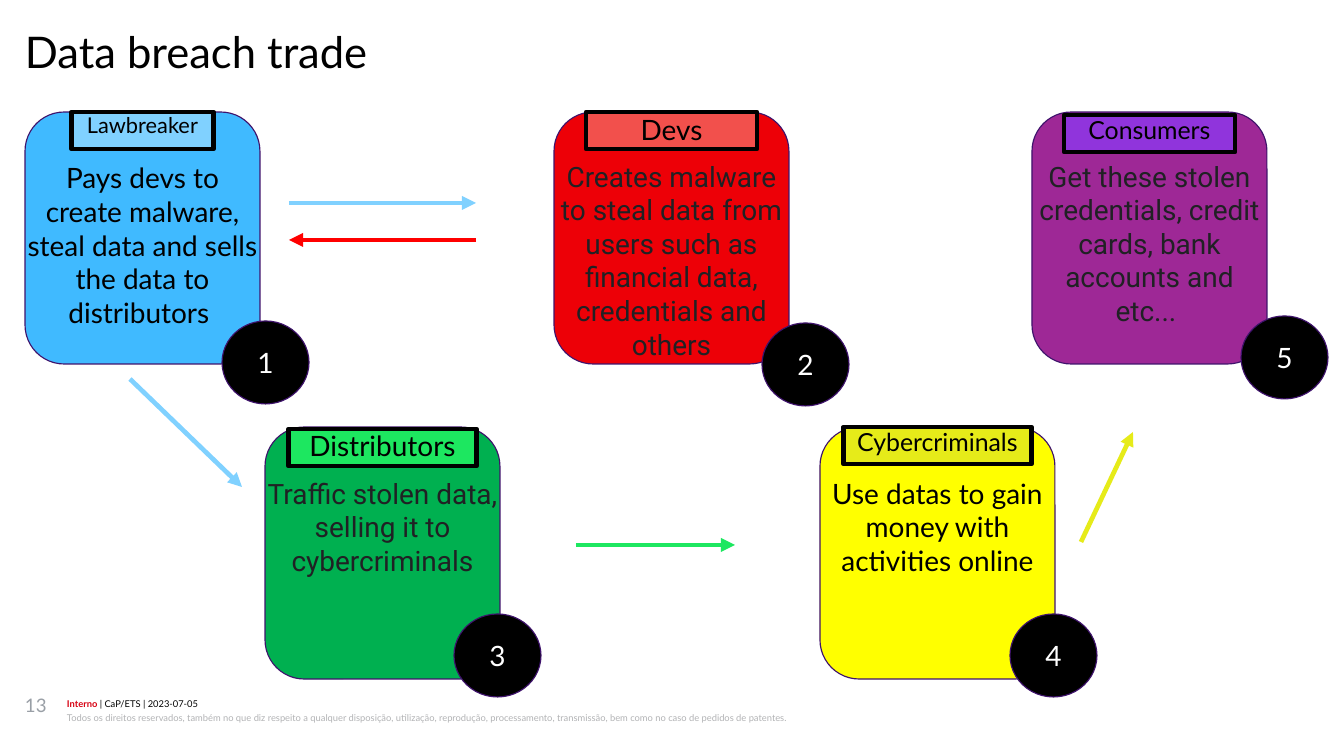
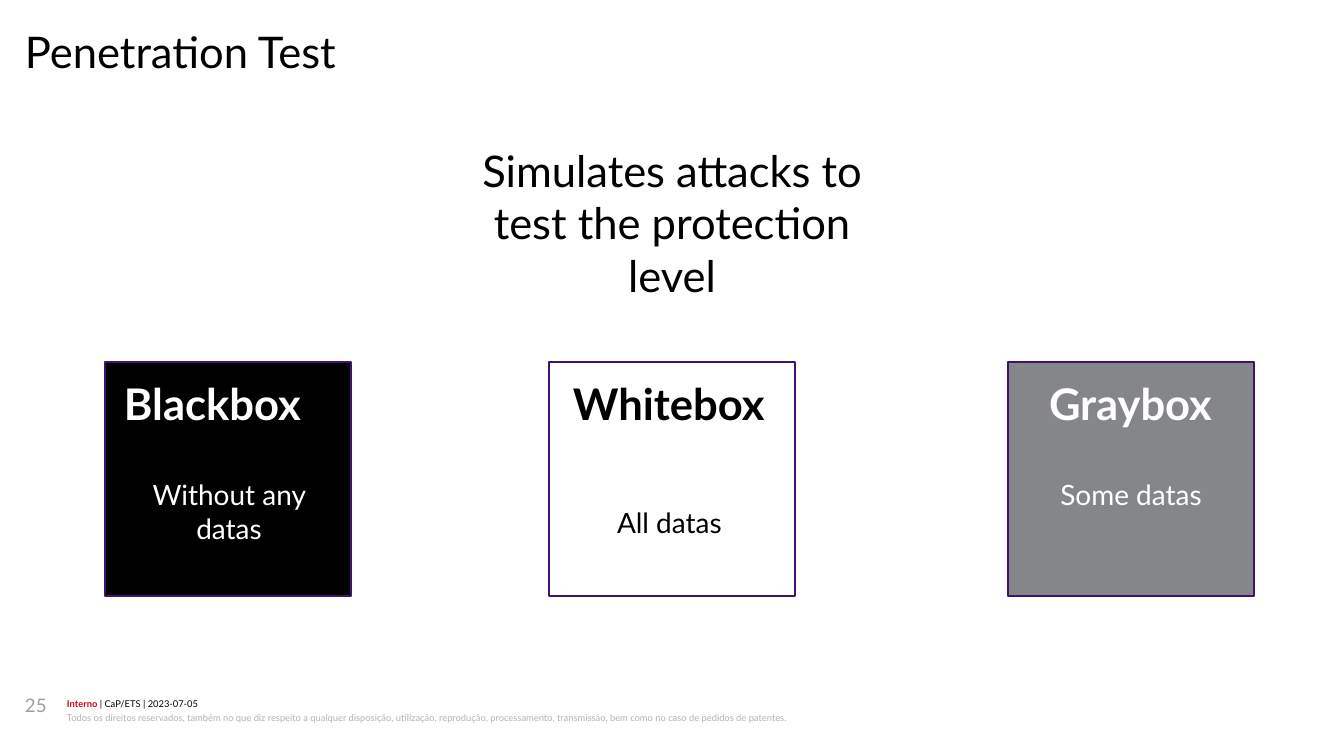
"""Build the data breach trade and penetration test slides."""
from lxml import etree
from pptx import Presentation
from pptx.dml.color import RGBColor
from pptx.enum.shapes import MSO_CONNECTOR, MSO_SHAPE
from pptx.enum.text import MSO_ANCHOR, PP_ALIGN
from pptx.oxml.ns import qn
from pptx.util import Pt

PX = 914400 / 112

BLACK = RGBColor(0x00, 0x00, 0x00)
WHITE = RGBColor(0xFF, 0xFF, 0xFF)
INK = RGBColor(0x20, 0x21, 0x24)
GRAY = RGBColor(0x84, 0x86, 0x89)
NUMBER_GRAY = RGBColor(0x99, 0x9F, 0xA6)
NOTICE_GRAY = RGBColor(0xB2, 0xB3, 0xB5)
LABEL_RED = RGBColor(0xD7, 0x00, 0x12)
OUTLINE = RGBColor(0x3F, 0x13, 0x6C)
BLUE = RGBColor(0x40, 0xBA, 0xFF)
LIGHT_BLUE = RGBColor(0x80, 0xD1, 0xFF)
RED = RGBColor(0xED, 0x00, 0x07)
LIGHT_RED = RGBColor(0xF2, 0x50, 0x4C)
ARROW_RED = RGBColor(0xFF, 0x00, 0x00)
GREEN = RGBColor(0x00, 0xB0, 0x50)
LIGHT_GREEN = RGBColor(0x1D, 0xE7, 0x60)
YELLOW = RGBColor(0xFF, 0xFF, 0x00)
DARK_YELLOW = RGBColor(0xE6, 0xEB, 0x19)
PURPLE = RGBColor(0x9E, 0x28, 0x96)
VIOLET = RGBColor(0x90, 0x34, 0xDC)

LATO, ROBOTO = "Lato", "Roboto"
LEFT, CENTER = PP_ALIGN.LEFT, PP_ALIGN.CENTER
NOTICE = ("Todos os direitos reservados, também no que diz respeito a qualquer "
          "disposição, utilização, reprodução, processamento, transmissão, bem "
          "como no caso de pedidos de patentes.")

CARD_W, CARD_H, TAG_H = 235, 252, 37
BADGE_W, BADGE_H = 87, 83
BOX_W, BOX_H, BOX_Y = 246, 234, 362

ACTORS = [
    ((25, 112), BLUE, ("Lawbreaker", 14, LIGHT_BLUE, 142, 0),
     ("Pays devs to create malware, steal data and sells the data to distributors ",
      LATO, BLACK, 49), (222, 321)),
    ((554, 112), RED, ("Devs", 18, LIGHT_RED, 171, 0),
     ("Creates malware to steal data from users such as financial data, "
      "credentials and others", ROBOTO, INK, 47), (762, 323)),
    ((265, 427), GREEN, ("Distributors", 18, LIGHT_GREEN, 188, 2),
     ("Traffic stolen data, selling it to cybercriminals", ROBOTO, INK, 49),
     (454, 614)),
    ((820, 427), YELLOW, ("Cybercriminals", 16, DARK_YELLOW, 188, 0),
     ("Use datas to gain money with activities online", LATO, BLACK, 49),
     (1010, 614)),
    ((1032, 112), PURPLE, ("Consumers", 16, VIOLET, 171, 3),
     ("Get these stolen credentials, credit cards, bank accounts and etc... ",
      ROBOTO, INK, 47), (1241, 316)),
]
ARROWS = [
    ((289, 203), (476, 203), LIGHT_BLUE),
    ((476, 240), (289, 240), ARROW_RED),
    ((130, 379), (242, 487), LIGHT_BLUE),
    ((576, 545), (735, 545), LIGHT_GREEN),
    ((1081, 542), (1133, 432), DARK_YELLOW),
]
TESTS = [
    (105, BLACK, WHITE, ("Blackbox", 124, 207, LEFT),
     ("Without any datas", 147, 478, 164, CENTER)),
    (549, None, BLACK, ("Whitebox", 573, 197, LEFT),
     ("All datas", 617, 505, 110, LEFT)),
    (1008, GRAY, WHITE, ("Graybox", 1027, 207, CENTER),
     ("Some datas", 1049, 478, 164, CENTER)),
]


def px(*values):
    """Turn pixel lengths into EMU."""
    return [round(v * PX) for v in values]


def add_run(p, text, size, color, font=LATO, bold=False):
    """Append one formatted run to a paragraph."""
    r = p.add_run()
    r.text = text
    r.font.name, r.font.size, r.font.bold = font, Pt(size), bold
    r.font.color.rgb = color


def prepare(sp, align, anchor=MSO_ANCHOR.TOP):
    """Wrap a shape's text without insets and return its paragraph."""
    tf = sp.text_frame
    tf.word_wrap = True
    tf.margin_left = tf.margin_top = tf.margin_right = tf.margin_bottom = 0
    tf.vertical_anchor = anchor
    p = tf.paragraphs[0]
    p.alignment = align
    return p


def add_text(s, box, text, size, color, align=LEFT, font=LATO, bold=False):
    """Add a text box with one run and return its paragraph."""
    p = prepare(s.shapes.add_textbox(*px(*box)), align)
    add_run(p, text, size, color, font, bold)
    return p


def add_box(s, kind, box, fill, line=OUTLINE, width=0.75):
    """Add a flat preset shape."""
    sp = s.shapes.add_shape(kind, *px(*box))
    sp.shadow.inherit = False
    if fill is None:
        sp.fill.background()
    else:
        sp.fill.solid()
        sp.fill.fore_color.rgb = fill
    sp.line.color.rgb = line
    sp.line.width = Pt(width)
    return sp


def add_arrow(s, start, end, color):
    """Add a straight arrow pointing at its end."""
    c = s.shapes.add_connector(MSO_CONNECTOR.STRAIGHT, *px(*start, *end))
    c.line.color.rgb = color
    c.line.width = Pt(3)
    etree.SubElement(c.line._get_or_add_ln(), qn("a:tailEnd"), type="triangle")
    etree.SubElement(c._element.spPr, qn("a:effectLst"))


def add_actor(s, corner, fill, tag, body):
    """Add a rounded card with its name tag and description."""
    x, y = corner
    name, size, tag_fill, tag_w, tag_dy = tag
    text, font, color, body_dy = body
    add_box(s, MSO_SHAPE.ROUNDED_RECTANGLE, (x, y, CARD_W, CARD_H), fill)
    tag_box = (x + (CARD_W - tag_w) / 2, y + tag_dy, tag_w, TAG_H)
    sp = add_box(s, MSO_SHAPE.RECTANGLE, tag_box, tag_fill, BLACK, 3)
    add_run(prepare(sp, CENTER), name, size, BLACK)
    add_text(s, (x, y + body_dy, CARD_W, 170), text, 18, color, CENTER, font)


def add_badge(s, corner, number):
    """Add a numbered black ellipse."""
    sp = add_box(s, MSO_SHAPE.OVAL, (*corner, BADGE_W, BADGE_H), BLACK)
    add_run(prepare(sp, CENTER, MSO_ANCHOR.MIDDLE), str(number), 18, WHITE)


def add_slide(prs, title, number):
    """Add a slide with the shared footer, title and page number."""
    s = prs.slides.add_slide(prs.slide_layouts[6])
    label = add_text(s, (67, 697, 1118, 13), "Interno", 6, LABEL_RED, bold=True)
    add_run(label, " | CaP/ETS | 2023-07-05", 6, BLACK)
    label.line_spacing = 1.07
    notice = add_text(s, (67, 710, 1118, 27), NOTICE, 6, NOTICE_GRAY)
    notice.line_spacing = 1.2
    add_text(s, (25, 31, 1294, 48), title, 28, BLACK).line_spacing = 0.89
    add_text(s, (25, 694, 36, 50), str(number), 12, NUMBER_GRAY)
    return s


def build_trade(prs):
    """Build the slide on the trade in stolen data."""
    s = add_slide(prs, "Data breach trade", 13)
    for *actor, _ in ACTORS:
        add_actor(s, *actor)
    for arrow in ARROWS:
        add_arrow(s, *arrow)
    for number, (*_, corner) in enumerate(ACTORS, 1):
        add_badge(s, corner, number)


def build_tests(prs):
    """Build the slide on kinds of penetration test."""
    s = add_slide(prs, "Penetration Test", 25)
    add_text(s, (446, 144, 452, 83),
             "Simulates attacks to test the protection level", 28, BLACK, CENTER)
    for x, fill, color, heading, detail in TESTS:
        add_box(s, MSO_SHAPE.RECTANGLE, (x, BOX_Y, BOX_W, BOX_H), fill)
        name, name_x, name_w, name_align = heading
        add_text(s, (name_x, BOX_Y + 15, name_w, 45), name, 28, color,
                 name_align, bold=True)
        text, text_x, text_y, text_w, text_align = detail
        add_text(s, (text_x, text_y, text_w, 45), text, 18, color, text_align)


def main():
    """Build and save the presentation."""
    prs = Presentation()
    prs.slide_width, prs.slide_height = px(1344, 756)
    build_trade(prs)
    build_tests(prs)
    prs.save("out.pptx")


if __name__ == "__main__":
    main()
